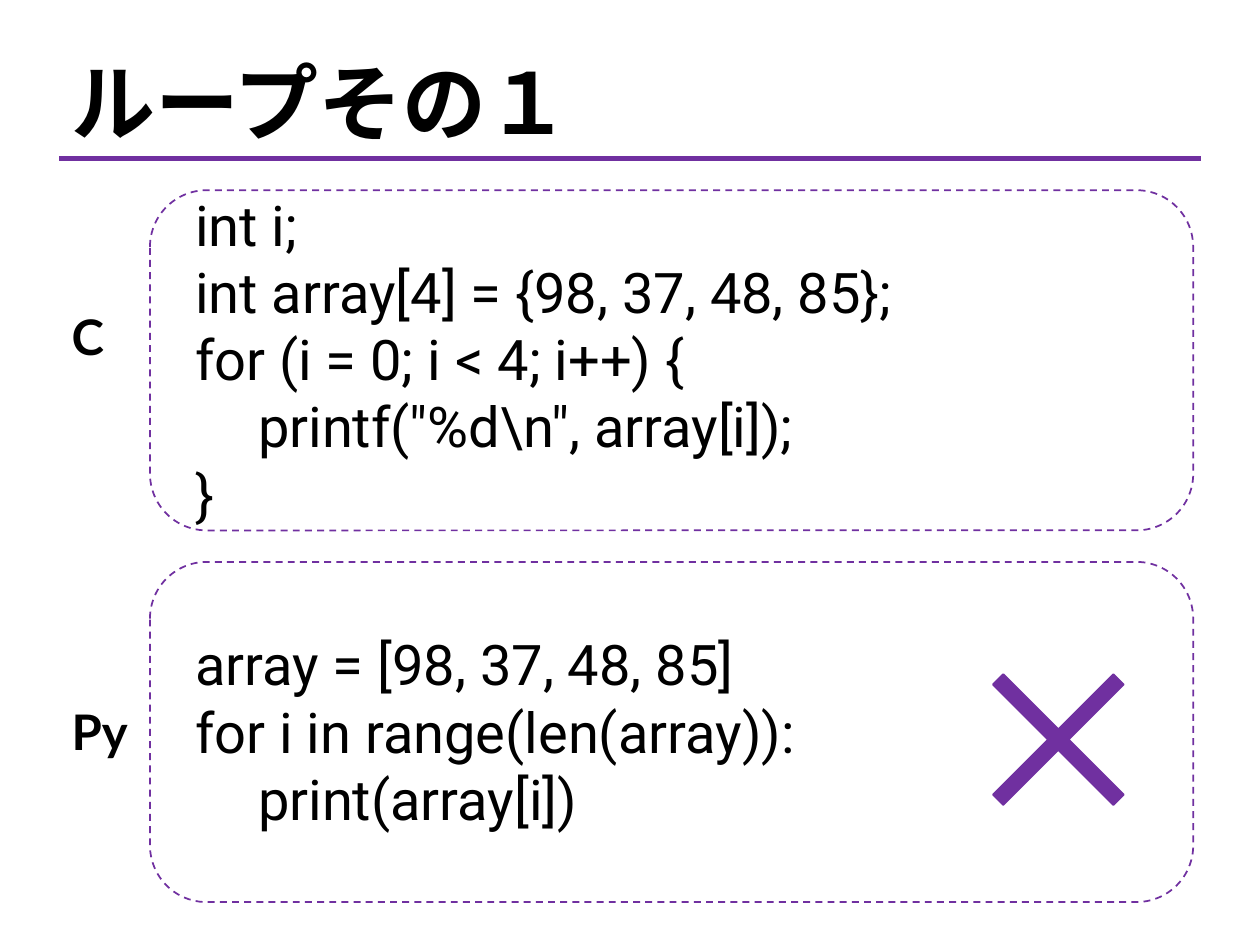
from dataclasses import dataclass

from lxml import etree
from pptx import Presentation, util as u
from pptx.dml.color import RGBColor
from pptx.enum import dml, shapes, text
from pptx.oxml.ns import qn


@dataclass(frozen=True)
class Theme:
    """Colours, fonts and type sizes."""
    ink = RGBColor(0, 0, 0)
    mark = RGBColor(0x70, 0x30, 0xA0)
    title = ("Noto Sans CJK JP", 48, True)
    label = ("Lato", 28, True)
    code = ("Roboto", 32, False)


TITLE = "ループその１"
LEFT, RIGHT, RULE = 0.47, 9.53, 1.26
FRAME_X, FRAME_W, FRAME_H = 1.19, 8.28, 2.7
FRAME_TOP, STEP = 1.51, 2.95
CODE_X = 1.45
PANELS = [
    {"name": "C", "label": (2.38, 0.5), "code": (1.46, 7.38, 2.79), "lines": [
        "int i;",
        "int array[4] = {98, 37, 48, 85};",
        "for (i = 0; i < 4; i++) {",
        "\tprintf(\"%d\\n\", array[i]);",
        "}"]},
    {"name": "Py", "label": (5.52, 0.72), "code": (4.95, 6.26, 1.72), "lines": [
        "array = [98, 37, 48, 85]",
        "for i in range(len(array)):",
        "\tprint(array[i])"]},
]
CROSS = (7.48, 4.95, 1.84, 1.84)


def box(slide, lines, area, style, wrap=False):
    """Add a text box with one paragraph per line."""
    frame = slide.shapes.add_textbox(*map(u.Inches, area)).text_frame
    frame.word_wrap = wrap
    frame.auto_size = text.MSO_AUTO_SIZE.SHAPE_TO_FIT_TEXT
    face, size, bold = style
    for n, line in enumerate(lines):
        para = frame.add_paragraph() if n else frame.paragraphs[0]
        run = para.add_run()
        run.text = line
        font = run.font
        font.name, font.size, font.bold = face, u.Pt(size), bold
        font.color.rgb = Theme.ink
        east = etree.Element(qn("a:ea"), typeface=face)
        run._r.rPr.find(qn("a:latin")).addnext(east)


def shape(slide, kind, area):
    """Add an unfilled preset shape with a thin outline."""
    item = slide.shapes.add_shape(kind, *map(u.Inches, area))
    item.shadow.inherit = False
    item.fill.background()
    item.line.color.rgb = Theme.mark
    item.line.width = u.Pt(1)
    return item


def rule(slide):
    """Draw the line under the title."""
    line = slide.shapes.add_connector(
        shapes.MSO_CONNECTOR.STRAIGHT,
        *map(u.Inches, (LEFT, RULE, RIGHT, RULE)))
    line.line.color.rgb = Theme.mark
    line.line.width = u.Pt(3)
    etree.SubElement(line._element.spPr, qn("a:effectLst"))


def panel(slide, n, data):
    """Draw one language: frame, label and code."""
    area = (FRAME_X, FRAME_TOP + n * STEP, FRAME_W, FRAME_H)
    frame = shape(slide, shapes.MSO_SHAPE.ROUNDED_RECTANGLE, area)
    frame.line.dash_style = dml.MSO_LINE.DASH
    top, wide = data["label"]
    box(slide, [data["name"]], (LEFT, top, wide, 0.57), Theme.label, True)
    box(slide, data["lines"], (CODE_X, *data["code"]), Theme.code)


def build():
    """Build and save the slide."""
    deck = Presentation()
    deck.slide_width, deck.slide_height = u.Inches(10), u.Inches(7.5)
    slide = deck.slides.add_slide(deck.slide_layouts[6])
    box(slide, [TITLE], (LEFT, 0.35, 4.24, 0.91), Theme.title)
    rule(slide)
    for n, data in enumerate(PANELS):
        panel(slide, n, data)
    cross = shape(slide, shapes.MSO_SHAPE.MATH_MULTIPLY, CROSS)
    cross.adjustments[0] = 0.063
    cross.fill.solid()
    cross.fill.fore_color.rgb = Theme.mark
    deck.save("out.pptx")


build()
